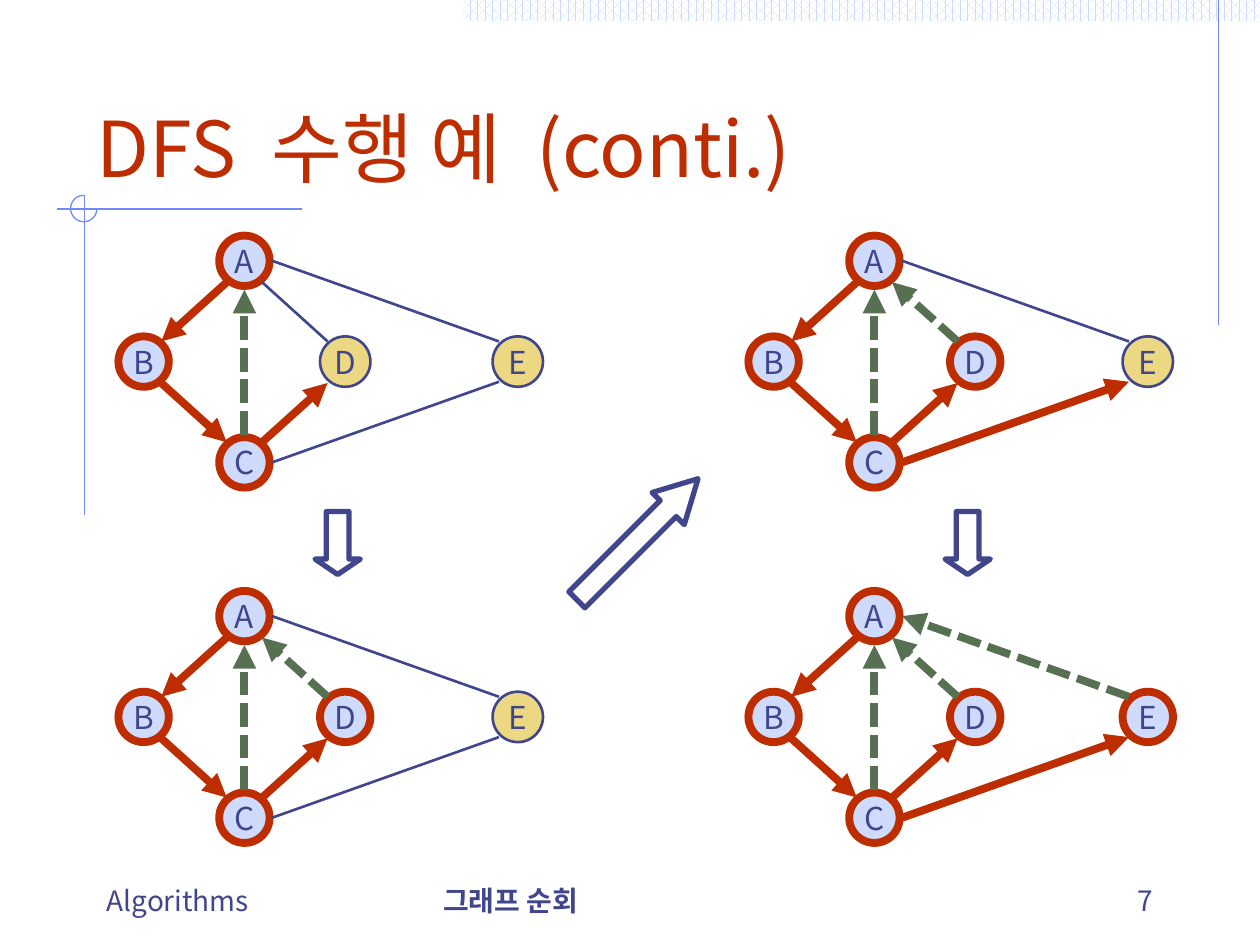
from lxml.etree import SubElement
from pptx import Presentation
from pptx.dml.color import RGBColor
from pptx.enum.dml import MSO_LINE, MSO_PATTERN
from pptx.enum.shapes import MSO_CONNECTOR, MSO_SHAPE
from pptx.enum.text import MSO_ANCHOR, PP_ALIGN
from pptx.oxml.ns import qn
from pptx.util import Inches, Pt

RED, INK, GREEN = "BE2D00", "40458C", "577052"
PALE, YELLOW, BLUE, WHITE = "CFDBFD", "ECD882", "6F89F7", "FFFFFF"

presentation = Presentation()
presentation.slide_width = Inches(10)
presentation.slide_height = Inches(7.5)
slide = presentation.slides.add_slide(presentation.slide_layouts[6])
column = presentation.slide_width / 10
row = presentation.slide_height / 7.5


def paint(fill, color):
    fill.solid()
    fill.fore_color.rgb = RGBColor.from_string(color)


def connect(start, end, color, width, dash=None, arrow=False):
    line = slide.shapes.add_connector(
        MSO_CONNECTOR.STRAIGHT,
        int(start[0] * column), int(start[1] * row),
        int(end[0] * column), int(end[1] * row),
    )
    paint(line.line.fill, color)
    for name, value in {"width": Pt(width), "dash_style": dash}.items():
        setattr(line.line, name, value)
    properties = line._element.spPr
    if arrow:
        SubElement(properties.find(qn("a:ln")), qn("a:tailEnd"), type="triangle")
    SubElement(properties, qn("a:effectLst"))


strip = slide.shapes.add_shape(
    MSO_SHAPE.RECTANGLE, int(3.67 * column), 0, int(6.33 * column), int(0.17 * row)
)
strip.shadow.inherit = False
strip.line.fill.background()
strip.fill.patterned()
strip.fill.pattern = MSO_PATTERN.PERCENT_60
strip.fill.fore_color.rgb = RGBColor.from_string(PALE)
strip.fill.back_color.rgb = RGBColor.from_string(WHITE)

for start, end in [
    ((9.67, 0), (9.67, 2.58)),
    ((0.45, 1.66), (2.4, 1.66)),
    ((0.67, 1.55), (0.67, 4.09)),
]:
    connect(start, end, BLUE, 0.75)

arc = slide.shapes.add_shape(
    MSO_SHAPE.ARC, int(0.56 * column), int(1.55 * row), int(0.21 * column), int(0.21 * row)
)
arc.shadow.inherit = False
arc.adjustments[0] = 0
arc.adjustments[1] = 162
arc.fill.background()
paint(arc.line.fill, BLUE)
arc.line.width = Pt(0.75)

title_parts = ["DFS", " ", "수행 예", " ", "(conti.)"]
texts = [
    (0.67, 0.33, 8.63, 1.25, title_parts, 44, RED, False, PP_ALIGN.LEFT),
    (0.75, 6.83, 2.37, 0.5, ["Algorithms"], 16, INK, False, PP_ALIGN.LEFT),
    (3.42, 6.83, 3.17, 0.5, ["그래프 순회"], 16, INK, True, PP_ALIGN.LEFT),
    (7.17, 6.83, 2.08, 0.5, ["7"], 16, INK, False, PP_ALIGN.RIGHT),
]
labels = []
for left, top, width, height, parts, size, color, bold, alignment in texts:
    box = slide.shapes.add_textbox(
        int(left * column), int(top * row), int(width * column), int(height * row)
    )
    frame_format = {"word_wrap": True, "vertical_anchor": MSO_ANCHOR.BOTTOM}
    labels.append((box, parts, size, color, bold, alignment, frame_format))

radius = 0.2
nodes = {"A": (0, 0), "B": (-0.8, 0.8), "C": (0, 1.6), "D": (0.8, 0.8), "E": (2.17, 0.8)}
edges = {
    "AB": ((-0.14, 0.17), (-0.66, 0.64)),
    "BC": ((-0.66, 0.97), (-0.14, 1.44)),
    "CD": ((0.14, 1.44), (0.66, 0.97)),
    "DA": ((0.66, 0.64), (0.14, 0.17)),
    "CA": ((0, 1.38), (0, 0.23)),
    "CE": ((0.22, 1.6), (2.02, 0.96)),
    "EA": ((2.02, 0.64), (0.22, 0)),
}
plain = (INK, 1.5)
tree = (RED, 4.5, None, True)
back = (GREEN, 4.5, MSO_LINE.SQUARE_DOT, True)
panels = [
    (0, 0, "ABC", ["AB", "BC", "CD"], ["CA"]),
    (0, 1, "ABCD", ["AB", "BC", "CD"], ["CA", "DA"]),
    (1, 0, "ABCD", ["AB", "BC", "CD", "CE"], ["CA", "DA"]),
    (1, 1, "ABCDE", ["AB", "BC", "CD", "CE"], ["CA", "DA", "EA"]),
]
for panel_column, panel_row, visited, tree_edges, back_edges in panels:
    origin_x = 1.94 + 5 * panel_column
    origin_y = 2.07 + 2.82 * panel_row
    for letter, (x, y) in nodes.items():
        node = slide.shapes.add_shape(
            MSO_SHAPE.OVAL,
            int((origin_x + x - radius) * column), int((origin_y + y - radius) * row),
            int(2 * radius * column), int(2 * radius * row),
        )
        node.shadow.inherit = False
        seen = letter in visited
        paint(node.fill, PALE if seen else YELLOW)
        paint(node.line.fill, RED if seen else INK)
        node.line.width = Pt(4.5 if seen else 1.5)
        frame_format = {"word_wrap": False, "vertical_anchor": MSO_ANCHOR.MIDDLE}
        labels.append((node, [letter], 18, INK, False, PP_ALIGN.CENTER, frame_format))
    for name, ends in edges.items():
        style = tree if name in tree_edges else back if name in back_edges else plain
        start, end = [(origin_x + x, origin_y + y) for x, y in ends]
        connect(start, end, *style)

for shape, parts, size, color, bold, alignment, frame_format in labels:
    for name, value in frame_format.items():
        setattr(shape.text_frame, name, value)
    paragraph = shape.text_frame.paragraphs[0]
    paragraph.alignment = alignment
    for part in parts:
        run = paragraph.add_run()
        run.text = part
        font_format = {"name": "Noto Sans CJK KR", "size": Pt(size), "bold": bold}
        for name, value in font_format.items():
            setattr(run.font, name, value)
        paint(run.font.fill, color)
        properties = run._r.get_or_add_rPr()
        SubElement(properties, qn("a:ea"), typeface="Noto Sans CJK KR")
        if part == " ":
            properties.set("spc", "1000")

for left, top, width, rotation, head in [
    (7.43, 4.13, 0.5, 90, 0.34),
    (4.38, 4.1, 1.36, 315, 0.93),
    (2.43, 4.13, 0.5, 90, 0.34),
]:
    arrow = slide.shapes.add_shape(
        MSO_SHAPE.RIGHT_ARROW,
        int(left * column), int(top * row), int(width * column), int(0.36 * row),
    )
    arrow.shadow.inherit = False
    arrow.rotation = rotation
    arrow.adjustments[1] = head
    arrow.fill.background()
    paint(arrow.line.fill, INK)
    arrow.line.width = Pt(3)

presentation.save("out.pptx")
